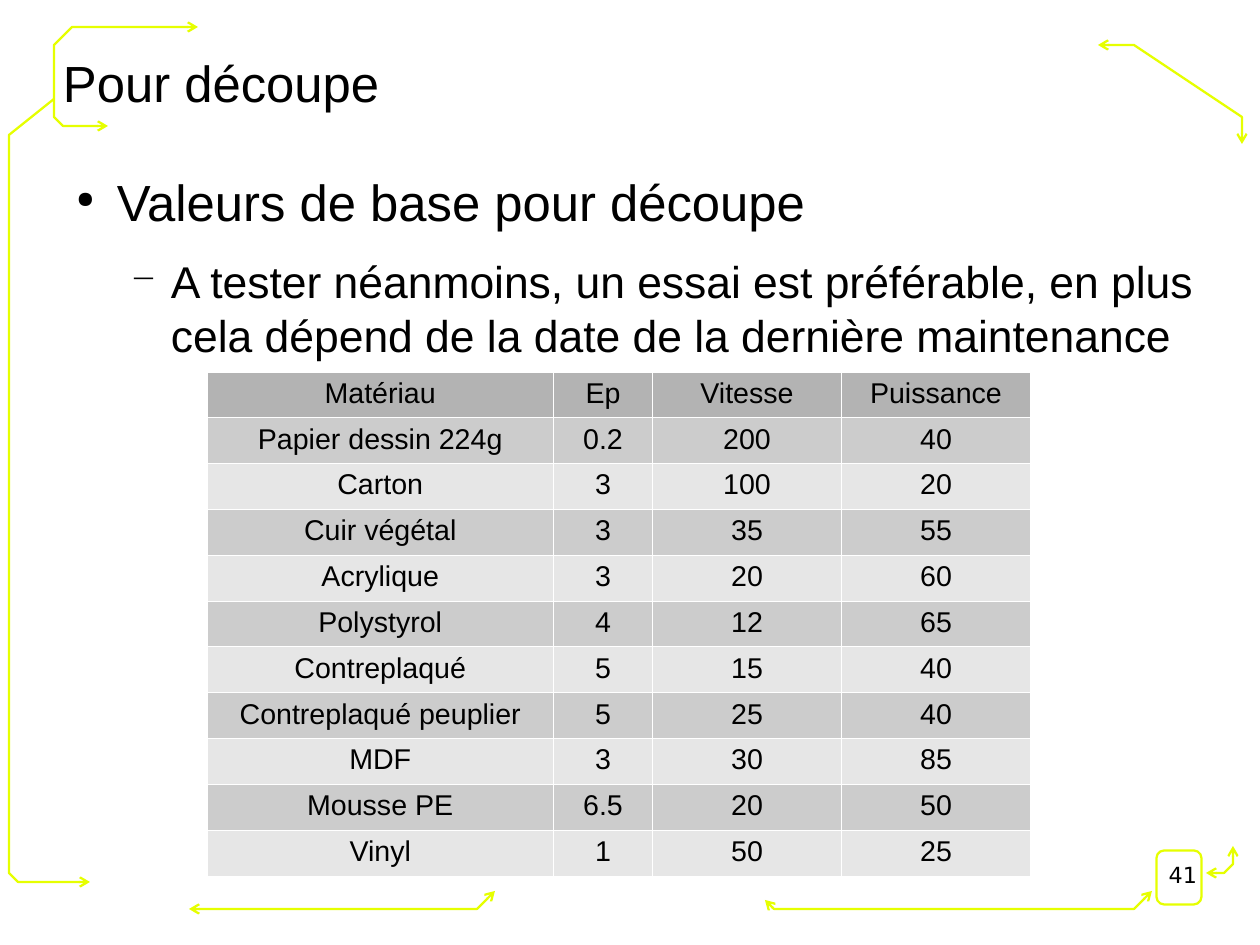
from lxml import etree
from pptx import Presentation
from pptx.dml.color import RGBColor
from pptx.enum.shapes import MSO_SHAPE
from pptx.enum.text import MSO_ANCHOR, PP_ALIGN
from pptx.oxml.ns import qn
from pptx.util import Cm, Pt

LEFT, MID, RIGHT = PP_ALIGN.LEFT, PP_ALIGN.CENTER, PP_ALIGN.RIGHT
TOP, CENTER = MSO_ANCHOR.TOP, MSO_ANCHOR.MIDDLE
ROUND = MSO_SHAPE.ROUNDED_RECTANGLE

COLS, ROWS = 140, 105
UNIT = Cm(0.2)
INK = {
    "text": "000000",
    "lime": "E6FF00",
    "head": "B3B3B3",
    "odd": "CCCCCC",
    "even": "E6E6E6",
    "rule": "FFFFFF",
}

TRACKS = [
    ([(21, 101.4), (53, 101.4), (55, 99.4)], True),
    ([(10, 98), (2, 98), (1, 97), (1, 15), (6, 11)], False),
    ([(22, 3), (8, 3), (6, 5), (6, 13), (7, 14), (12, 14)], True),
    ([(122, 5), (126, 5), (138, 13), (138, 16)], True),
    ([(85, 100), (86.4, 101.4), (126, 101), (128, 99)], True),
    ([(134, 97), (136, 97), (137, 96), (137, 94)], True),
]

DATA = [
    ("Matériau", "Ep", "Vitesse", "Puissance"),
    ("Papier dessin 224g", "0.2", "200", "40"),
    ("Carton", "3", "100", "20"),
    ("Cuir végétal", "3", "35", "55"),
    ("Acrylique", "3", "20", "60"),
    ("Polystyrol", "4", "12", "65"),
    ("Contreplaqué", "5", "15", "40"),
    ("Contreplaqué peuplier", "5", "25", "40"),
    ("MDF", "3", "30", "85"),
    ("Mousse PE", "6.5", "20", "50"),
    ("Vinyl", "1", "50", "25"),
]


def grid(num):
    return round(num * UNIT)


def tint(name):
    return RGBColor.from_string(INK[name])


def write(para, text, size=18, font="Arial", color="text", align=LEFT, after=0):
    para.alignment = align
    para.space_after = Pt(after)
    run = para.add_run()
    run.text = text
    run.font.size = Pt(size)
    run.font.name = font
    run.font.color.rgb = tint(color)


class Deck:
    """Draws styled elements on the current slide, measured in grid units."""

    def __init__(self):
        self.show = Presentation()
        self.show.slide_width = grid(COLS)
        self.show.slide_height = grid(ROWS)
        self.slide = self.show.slides.add_slide(self.show.slide_layouts[6])
        self.shapes = self.slide.shapes
        self.width = Pt(1.42)

    def trim(self, shape):
        shape.shadow.inherit = False
        shape.fill.background()
        shape.line.color.rgb = tint("lime")
        shape.line.width = self.width

    def track(self, points, both):
        pen = self.shapes.build_freeform(*points[0], scale=UNIT)
        pen.add_line_segments(points[1:], close=False)
        shape = pen.convert_to_shape()
        self.trim(shape)
        line = shape.line._get_or_add_ln()
        for tag in ("a:headEnd", "a:tailEnd")[: 1 + both]:
            etree.SubElement(line, qn(tag), type="arrow")

    def badge(self, *area):
        shape = self.shapes.add_shape(ROUND, *map(grid, area))
        shape.adjustments[0] = 0.17
        self.trim(shape)

    def box(self, *area, anchor=TOP):
        frame = self.shapes.add_textbox(*map(grid, area)).text_frame
        frame.word_wrap = True
        frame.vertical_anchor = anchor
        frame.margin_left = frame.margin_right = 0
        frame.margin_top = frame.margin_bottom = 0
        return frame

    def bullet(self, para, text, mark, share, level, **style):
        para.level = level
        props = para._p.get_or_add_pPr()
        props.set("marL", str(grid(6 * (level + 1))))
        props.set("indent", str(grid(-4.5)))
        color = etree.SubElement(props, qn("a:buClr"))
        etree.SubElement(color, qn("a:srgbClr"), val=INK["text"])
        etree.SubElement(props, qn("a:buSzPct"), val=str(share * 1000))
        etree.SubElement(props, qn("a:buChar"), char=mark)
        write(para, text, **style)

    def border(self, cell):
        props = cell._tc.get_or_add_tcPr()
        for spot, side in enumerate("LRTB"):
            line = etree.Element(qn("a:ln" + side), w=str(Pt(0.06)))
            fill = etree.SubElement(line, qn("a:solidFill"))
            etree.SubElement(fill, qn("a:srgbClr"), val=INK["rule"])
            props.insert(spot, line)

    def table(self, data, left, top, widths, high):
        area = map(grid, (left, top, sum(widths), high * len(data)))
        table = self.shapes.add_table(len(data), len(widths), *area).table
        table.first_row = table.horz_banding = False
        for col, wide in zip(table.columns, widths):
            col.width = grid(wide)
        for num, values in enumerate(data):
            table.rows[num].height = grid(high)
            shade = ("even", "odd")[num % 2] if num else "head"
            for col, text in enumerate(values):
                cell = table.cell(num, col)
                cell.fill.solid()
                cell.fill.fore_color.rgb = tint(shade)
                self.border(cell)
                write(cell.text_frame.paragraphs[0], text, align=MID)


def main():
    deck = Deck()
    for points, both in TRACKS:
        deck.track(points, both)
    deck.badge(128.5, 94.5, 5, 6)

    title = deck.box(7, 4.2, 115, 9.8, anchor=CENTER)
    write(title.paragraphs[0], "Pour découpe", size=32)

    deck.table(DATA, 23, 41.3, (38.5, 11, 21, 21), 5.09)

    body = deck.box(7, 19, 126, 74)
    deck.bullet(body.paragraphs[0], "Valeurs de base pour découpe",
                "●", 45, 0, size=32, after=14.1)
    deck.bullet(body.add_paragraph(),
                "A tester néanmoins, un essai est préférable, en plus "
                "cela dépend de la date de la dernière maintenance",
                "−", 75, 1, size=28, after=11.3)

    page = deck.box(100.3, 95.7, 32.7, 7.2)
    write(page.paragraphs[0], "41", size=14, font="DejaVu Sans", align=RIGHT)
    deck.show.save("out.pptx")


if __name__ == "__main__":
    main()
